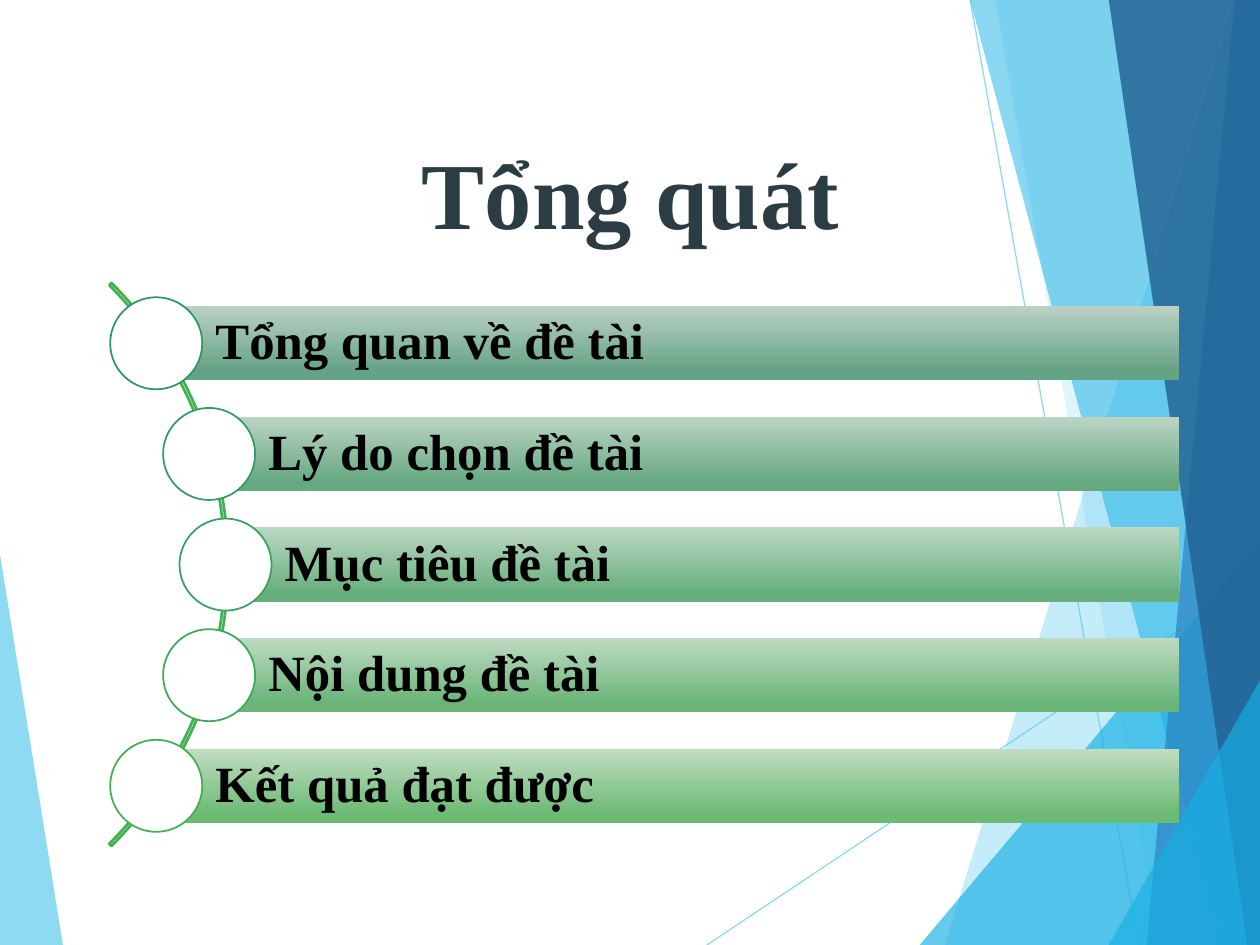
import pptx
import pptx.dml.color
import pptx.enum.shapes
import pptx.enum.text
import pptx.oxml.ns
import pptx.util
from lxml import etree

SHAPE = pptx.enum.shapes.MSO_SHAPE
ANCHOR = pptx.enum.text.MSO_ANCHOR
ALIGN = pptx.enum.text.PP_ALIGN

# The slide is a grid of 100 columns by 75 rows of square cells.
COLS, ROWS = 100, 75
CELL = pptx.util.Inches(10) // COLS

# Outline corners, colour and opacity, from back to front; lines lie after the first.
LEFT_FACET = ([(0, 44.3), (4.9, 75), (0, 75)], "5FCBEF", 70)
RIGHT_FACETS = [
    ([(97.5, 0), (75.4, 75), (100, 75), (100, 0)], "5FCBEF", 36),
    ([(78.8, 0), (91.9, 75), (100, 75), (100, 0)], "5FCBEF", 20),
    ([(72.6, 75), (100, 42.9), (100, 75)], "17B0E4", 66),
    ([(76.7, 0), (97, 75), (100, 75), (100, 0)], "17B0E4", 50),
    ([(98.1, 0), (90.7, 75), (100, 75), (100, 0)], "2E83C3", 70),
    ([(88.5, 0), (98.8, 75), (100, 75), (100, 0)], "226292", 82),
    ([(88.2, 75), (100, 53.5), (100, 75)], "17B0E4", 66),
]
RAYS = [(56.1, 75, 100, 45.7), (77, 0, 90.4, 75)]

# Text, bar left, gradient top, gradient bottom, circle outline.
TOPICS = [
    ("Tổng quan về đề tài", 12.4, "BAD1C4", "65A385", "2E946B"),
    ("Lý do chọn đề tài", 16.6, "BBD4C4", "66A981", "339B65"),
    ("Mục tiêu đề tài", 17.9, "BCD7C3", "68AF7D", "38A25F"),
    ("Nội dung đề tài", 16.6, "BEDAC2", "6AB478", "3DA958"),
    ("Kết quả đạt được", 12.4, "C0DDC2", "6DBA74", "42B051"),
]
BAR_TOP, BAR_PITCH, BAR_HEIGHT, BAR_RIGHT = 24.3, 8.78, 5.9, 93.6
CIRCLE = 7.3


def cells(*values):
    return [pptx.util.Emu(round(v * CELL)) for v in values]


def rgb(hex_text):
    return pptx.dml.color.RGBColor.from_string(hex_text)


def set_alpha(sp, percent):
    """Make the first colour of a shape or line partly transparent."""
    color = next(sp._element.spPr.iter(pptx.oxml.ns.qn("a:srgbClr")))
    alpha = etree.SubElement(color, pptx.oxml.ns.qn("a:alpha"))
    alpha.set("val", str(percent * 1000))


def add_facet(s, points, color, opacity):
    builder = s.shapes.build_freeform(*points[0], scale=CELL)
    builder.add_line_segments(points[1:], close=True)
    sp = builder.convert_to_shape()
    sp.shadow.inherit = False
    sp.fill.solid()
    sp.fill.fore_color.rgb = rgb(color)
    sp.line.fill.background()
    set_alpha(sp, opacity)


def add_ray(s, ends):
    line = s.shapes.add_connector(
        pptx.enum.shapes.MSO_CONNECTOR.STRAIGHT, *cells(*ends))
    line.line.color.rgb = rgb("5FCBEF")
    line.line.width = pptx.util.Pt(0.75)
    set_alpha(line, 70)
    etree.SubElement(line._element.spPr, pptx.oxml.ns.qn("a:effectLst"))


def add_outlined(s, kind, box, line_color, width, fill=None):
    sp = s.shapes.add_shape(kind, *cells(*box))
    sp.shadow.inherit = False
    if fill:
        sp.fill.solid()
        sp.fill.fore_color.rgb = rgb(fill)
    else:
        sp.fill.background()
    sp.line.color.rgb = rgb(line_color)
    sp.line.width = pptx.util.Pt(width)
    return sp


def write(sp, text, size, color, frame_format, paragraph_format):
    tf = sp.text_frame
    for name, value in {"word_wrap": True, **frame_format}.items():
        setattr(tf, name, value)
    p = tf.paragraphs[0]
    for name, value in paragraph_format.items():
        setattr(p, name, value)
    r = p.add_run()
    r.text = text
    font = {"name": "Times New Roman", "size": pptx.util.Pt(size), "bold": True}
    for name, value in font.items():
        setattr(r.font, name, value)
    r.font.color.rgb = rgb(color)


def add_bar(s, text, left, top, top_color, bottom_color):
    box = cells(left, top, BAR_RIGHT - left, BAR_HEIGHT)
    sp = s.shapes.add_shape(SHAPE.RECTANGLE, *box)
    sp.shadow.inherit = False
    sp.line.fill.background()
    sp.fill.gradient()
    sp.fill.gradient_angle = 270
    stops = zip(sp.fill.gradient_stops, (0, 0.88), (top_color, bottom_color))
    for stop, position, color in stops:
        stop.position = position
        stop.color.rgb = rgb(color)
    inset, margin = cells(4.7, 0.8)
    frame = {"vertical_anchor": ANCHOR.MIDDLE, "margin_left": inset,
             "margin_top": margin, "margin_right": margin, "margin_bottom": margin}
    write(sp, text, 29, "000000", frame,
          {"alignment": ALIGN.LEFT, "line_spacing": 0.9})


def add_topic(s, row, text, left, top_color, bottom_color, outline):
    top = BAR_TOP + row * BAR_PITCH
    add_bar(s, text, left, top, top_color, bottom_color)
    circle = (left - CIRCLE / 2, top + (BAR_HEIGHT - CIRCLE) / 2, CIRCLE, CIRCLE)
    add_outlined(s, SHAPE.OVAL, circle, outline, 1, "FFFFFF")


def add_background(s):
    add_facet(s, *LEFT_FACET)
    for ends in RAYS:
        add_ray(s, ends)
    for facet in RIGHT_FACETS:
        add_facet(s, *facet)


def add_title(s, text):
    sp = s.shapes.add_textbox(*cells(9.7, 9.3, 80.7, 14.5))
    frame = {"vertical_anchor": ANCHOR.TOP, "margin_top": cells(1.4)[0]}
    write(sp, text, 54, "2C3C43", frame, {"alignment": ALIGN.CENTER})


def add_arc(s):
    arc = add_outlined(s, SHAPE.BLOCK_ARC, (-45.1, 13.2, 63.2, 63.2), "42B051", 1.5)
    for i, value in enumerate((189, 27, 0.004)):
        arc.adjustments[i] = value


def main():
    prs = pptx.Presentation()
    prs.slide_width, prs.slide_height = cells(COLS, ROWS)
    s = prs.slides.add_slide(prs.slide_layouts[6])
    add_background(s)
    add_title(s, "Tổng quát")
    add_arc(s)
    for row, topic in enumerate(TOPICS):
        add_topic(s, row, *topic)
    prs.save("out.pptx")


if __name__ == "__main__":
    main()
